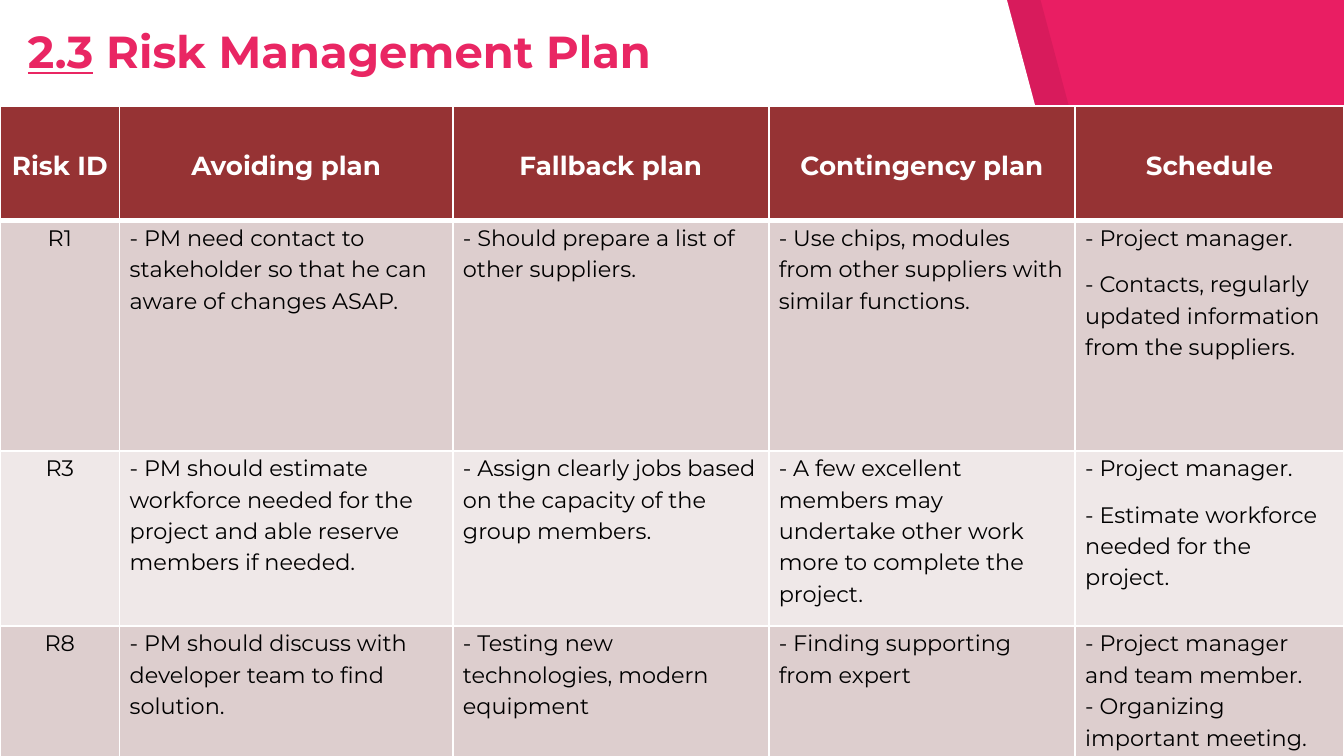
from dataclasses import dataclass

from lxml import etree
from pptx import Presentation
from pptx.dml.color import RGBColor
from pptx.enum.text import MSO_ANCHOR, MSO_AUTO_SIZE, PP_ALIGN
from pptx.oxml.ns import qn
from pptx.util import Inches, Pt

CENTER, LEFT = PP_ALIGN.CENTER, PP_ALIGN.LEFT
MIDDLE, TOP = MSO_ANCHOR.MIDDLE, MSO_ANCHOR.TOP
FIT_SHAPE = MSO_AUTO_SIZE.SHAPE_TO_FIT_TEXT


@dataclass(frozen=True)
class Theme:
    font: str = "Montserrat"
    pink: str = "E91E63"
    title: str = "E92663"
    white: str = "FFFFFF"
    black: str = "000000"
    header: str = "963334"
    bands: tuple = ("DDCECE", "EFE8E8")
    title_size: int = 24
    header_size: int = 14
    body_size: int = 12
    shade_alpha: int = 7
    thin: int = 1
    thick: int = 3
    line_spacing: float = 1.15
    space_after: int = 8
    cell_margin: float = 5.4


THEME = Theme()
COLUMN_WIDTHS = (0.89, 2.48, 2.35, 2.28, 2)
ROW_HEIGHTS = (0.85, 1.71, 1.3, 1.23)
HEADINGS = ("Risk ID", "Avoiding plan", "Fallback plan", "Contingency plan", "Schedule")
RISKS = (
    ("R1",
     "- PM need contact to stakeholder so that he can aware of changes ASAP.",
     "- Should prepare a list of other suppliers.",
     "- Use chips, modules from other suppliers with similar functions.",
     "- Project manager.\n- Contacts, regularly updated information from the suppliers."),
    ("R3",
     "- PM should estimate workforce needed for the project and able reserve members if needed.",
     "- Assign clearly jobs based on the capacity of the group members.",
     "- A few excellent members may undertake other work more to complete the project.",
     "- Project manager.\n- Estimate workforce needed for the project."),
    ("R8",
     "- PM should discuss with developer team to find solution.",
     "- Testing new technologies, modern equipment",
     "- Finding supporting from expert",
     "- Project manager and team member.\n- Organizing important meeting."),
)


def rgb(color):
    return RGBColor.from_string(color)


def add_span(para, text, size, color, bold=False, underline=False):
    span = para.add_run()
    span.text = text
    font = span.font
    font.name, font.size = THEME.font, Pt(size)
    font.bold, font.underline = bold, underline
    font.color.rgb = rgb(color)


def add_panel(page, left, top, width, height, slant, color, alpha=None):
    right, bottom = left + width, top + height
    corners = [(left, bottom), (right, bottom), (right - slant, top)]
    builder = page.shapes.build_freeform(Inches(left), Inches(top))
    builder.add_line_segments([(Inches(x), Inches(y)) for x, y in corners])
    panel = builder.convert_to_shape()
    panel.shadow.inherit = False
    panel.line.fill.background()
    panel.fill.solid()
    panel.fill.fore_color.rgb = rgb(color)
    if alpha is not None:
        tint = panel.fill._xPr.find(".//" + qn("a:srgbClr"))
        etree.SubElement(tint, qn("a:alpha"), val=str(alpha * 1000))


def add_backdrop(page, left, top, width, height):
    page.background.fill.solid()
    page.background.fill.fore_color.rgb = rgb(THEME.pink)
    slant = 1.51
    add_panel(page, left + 0.25, top, width, height, slant, THEME.black, THEME.shade_alpha)
    add_panel(page, left, top, width, height, slant, THEME.white)


def add_title(page, left, top, width, height):
    box = page.shapes.add_textbox(Inches(left), Inches(top), Inches(width), Inches(height))
    frame = box.text_frame
    frame.word_wrap = True
    frame.auto_size = FIT_SHAPE
    para = frame.paragraphs[0]
    add_span(para, "2.3", THEME.title_size, THEME.title, bold=True, underline=True)
    add_span(para, " Risk Management Plan", THEME.title_size, THEME.title, bold=True)


def set_borders(cell, top, bottom):
    properties = cell._tc.get_or_add_tcPr()
    widths = {"lnL": THEME.thin, "lnR": THEME.thin, "lnT": top, "lnB": bottom}
    for side, width in widths.items():
        line = etree.SubElement(properties, qn("a:" + side), w=str(Pt(width)))
        fill = etree.SubElement(line, qn("a:solidFill"))
        etree.SubElement(fill, qn("a:srgbClr"), val=THEME.white)


def fill_cell(cell, text, fill, size, color, align, bold=False, gap=THEME.space_after):
    cell.margin_left = cell.margin_right = Pt(THEME.cell_margin)
    cell.margin_top = cell.margin_bottom = 0
    cell.vertical_anchor = MIDDLE if bold else TOP
    cell.fill.solid()
    cell.fill.fore_color.rgb = rgb(fill)
    frame = cell.text_frame
    lines = text.split("\n")
    for index, line in enumerate(lines):
        para = frame.add_paragraph() if index else frame.paragraphs[0]
        para.alignment = align
        para.line_spacing = THEME.line_spacing
        is_last = index == len(lines) - 1
        para.space_after = Pt(THEME.space_after if is_last else gap)
        add_span(para, line, size, color, bold)


def add_risk_table(page, left, top, width, height):
    rows = (HEADINGS, *RISKS)
    table = page.shapes.add_table(
        len(rows), len(HEADINGS), Inches(left), Inches(top), Inches(width), Inches(height)
    ).table
    for column, share in zip(table.columns, COLUMN_WIDTHS):
        column.width = Inches(width * share / sum(COLUMN_WIDTHS))
    for row, share in zip(table.rows, ROW_HEIGHTS):
        row.height = Inches(height * share / sum(ROW_HEIGHTS))
    for r, texts in enumerate(rows):
        for c, text in enumerate(texts):
            cell = table.cell(r, c)
            set_borders(cell, THEME.thick if r == 1 else THEME.thin,
                        THEME.thick if r == 0 else THEME.thin)
            if r == 0:
                fill_cell(cell, text, THEME.header, THEME.header_size, THEME.white,
                          CENTER, bold=True)
            else:
                fill_cell(cell, text, THEME.bands[(r - 1) % 2], THEME.body_size, THEME.black,
                          LEFT if c else CENTER,
                          gap=0 if r == len(RISKS) else THEME.space_after)


def main():
    deck = Presentation()
    deck.slide_width = Inches(10)
    deck.slide_height = deck.slide_width * 9 // 16
    page = deck.slides.add_slide(deck.slide_layouts[6])
    add_backdrop(page, 0, -0.01, 9, 5.65)
    add_risk_table(page, 0, 0.79, 10, 5.1)
    add_title(page, 0.11, 0.13, 5.14, 0.5)
    deck.save("out.pptx")


if __name__ == "__main__":
    main()
